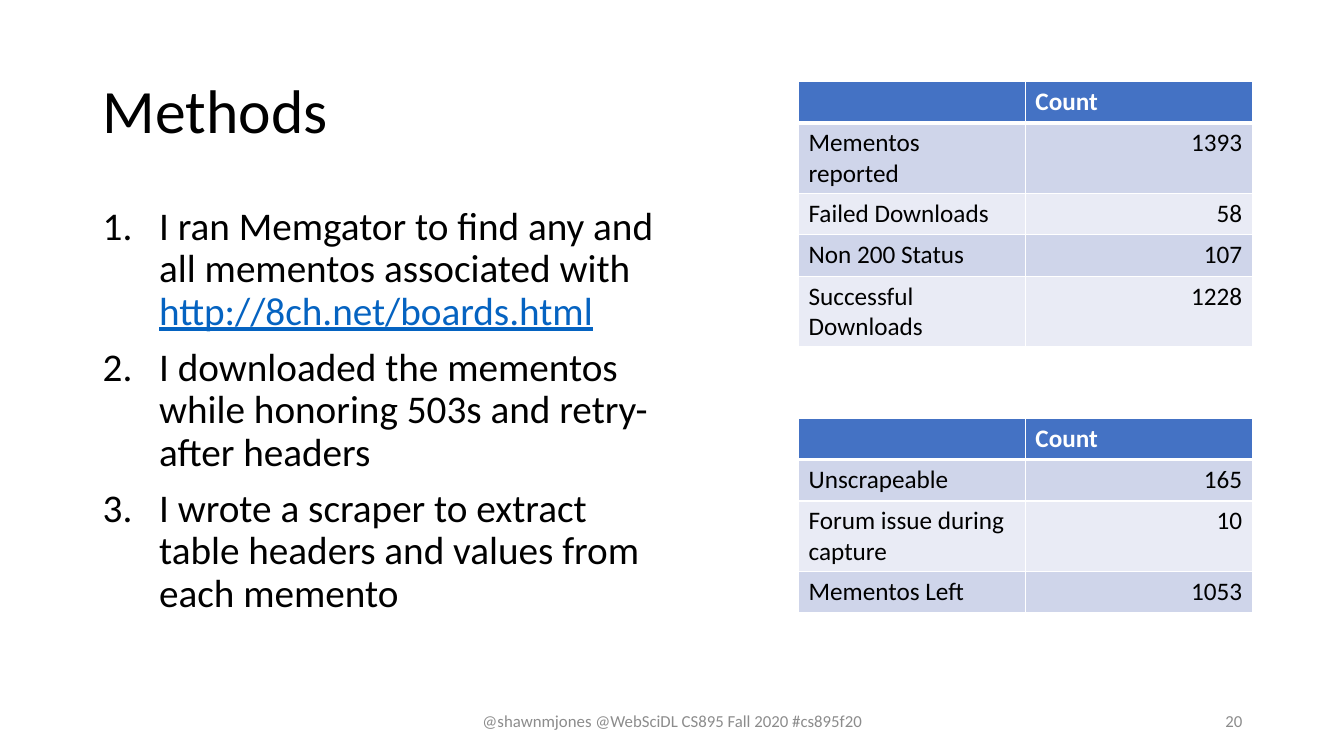
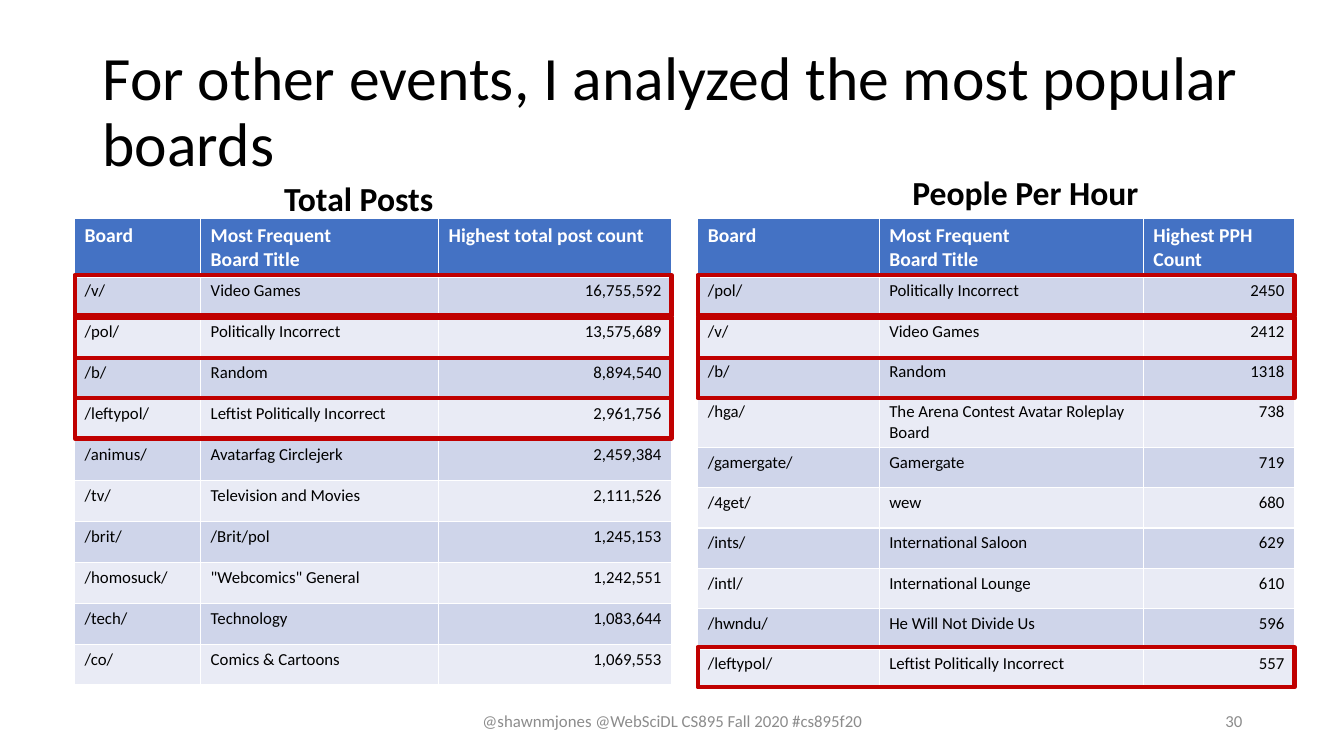
from pptx import Presentation
from pptx.dml.color import RGBColor
from pptx.enum.shapes import MSO_SHAPE
from pptx.enum.text import MSO_ANCHOR, PP_ALIGN
from pptx.oxml.ns import qn
from pptx.util import Inches, Pt
from lxml.etree import SubElement

FONT = "Calibri"
BLACK = RGBColor(0, 0, 0)
WHITE = RGBColor(255, 255, 255)
GRAY = RGBColor(0x8C, 0x8C, 0x8C)
BLUE = RGBColor(0x44, 0x72, 0xC4)
LINK = RGBColor(0x05, 0x63, 0xC1)
RED = RGBColor(0xC0, 0, 0)
BANDS = RGBColor(0xCF, 0xD5, 0xEA), RGBColor(0xE9, 0xEB, 0xF5)

FOOTER = "@shawnmjones @WebSciDL CS895 Fall 2020 #cs895f20"
STEPS = [
    ["I ran Memgator to find any and all mementos associated with ",
     "http://8ch.net/boards.html"],
    ["I downloaded the mementos while honoring 503s and retry-after headers"],
    ["I wrote a scraper to extract table headers and values from each memento"],
]
COUNTS = [
    dict(top=4.15, left=7.92, cols=[2.25, 2.25], size=18, head=18,
         heights=[0.41, 0.41, 0.7, 0.41],
         rows=[("", "Count"), ("Unscrapeable", "165"),
               ("Forum issue during capture", "10"),
               ("Mementos Left", "1053")]),
    dict(top=0.81, left=7.92, cols=[2.25, 2.25], size=18, head=18,
         heights=[0.41, 0.7, 0.41, 0.41, 0.7],
         rows=[("", "Count"), ("Mementos reported", "1393"),
               ("Failed Downloads", "58"), ("Non 200 Status", "107"),
               ("Successful Downloads", "1228")]),
]
BOARDS = [
    dict(top=2.17, left=0.74, cols=[1.25, 2.36, 2.31], size=12, head=14,
         heights=[0.56] + [4.06 / 10] * 10,
         label=("Total Posts", 2.72, 1.72, 1.7),
         marks=[2.73, 3.15, 3.55, 3.95],
         rows=[("Board", "Most Frequent\nBoard Title", "Highest total post count"),
               ("/v/", "Video Games", "16,755,592"),
               ("/pol/", "Politically Incorrect", "13,575,689"),
               ("/b/", "Random", "8,894,540"),
               ("/leftypol/", "Leftist Politically Incorrect", "2,961,756"),
               ("/animus/", "Avatarfag Circlejerk", "2,459,384"),
               ("/tv/", "Television and Movies", "2,111,526"),
               ("/brit/", "/Brit/pol", "1,245,153"),
               ("/homosuck/", '"Webcomics" General', "1,242,551"),
               ("/tech/", "Technology", "1,083,644"),
               ("/co/", "Comics & Cartoons", "1,069,553")]),
    dict(top=2.17, left=6.92, cols=[1.8, 2.62, 1.5], size=12, head=14,
         heights=[0.56] + [0.4] * 3 + [0.49] + [0.4] * 6,
         label=("People Per Hour", 8.95, 1.66, 2.46),
         marks=[2.73, 3.15, 3.55, 6.42],
         rows=[("Board", "Most Frequent\nBoard Title", "Highest PPH Count"),
               ("/pol/", "Politically Incorrect", "2450"),
               ("/v/", "Video Games", "2412"),
               ("/b/", "Random", "1318"),
               ("/hga/", "The Arena Contest Avatar Roleplay Board", "738"),
               ("/gamergate/", "Gamergate", "719"),
               ("/4get/", "wew", "680"),
               ("/ints/", "International Saloon", "629"),
               ("/intl/", "International Lounge", "610"),
               ("/hwndu/", "He Will Not Divide Us", "596"),
               ("/leftypol/", "Leftist Politically Incorrect", "557")]),
]


def write(frame, paras, size=12, color=BLACK, bold=False, align=PP_ALIGN.LEFT,
          space=None, gap=0, number=False):
    for i, runs in enumerate(paras):
        para = frame.paragraphs[0] if i == 0 else frame.add_paragraph()
        para.alignment = align
        if space:
            para.line_spacing = space
        if gap and i:
            para.space_before = Pt(gap)
        if number:
            props = para._p.get_or_add_pPr()
            props.set("marL", str(Inches(0.56)))
            props.set("indent", str(-Inches(0.56)))
            SubElement(props, qn("a:buFont"), typeface="+mj-lt")
            SubElement(props, qn("a:buAutoNum"), type="arabicPeriod")
        for text in runs:
            run = para.add_run()
            run.text = text
            font = run.font
            font.name, font.size, font.bold = FONT, Pt(size), bold
            link = text.startswith("http")
            font.color.rgb = LINK if link else color
            if link:
                font.underline = True


def box(slide, paras, left, top, width, height, wrap=True,
        anchor=MSO_ANCHOR.TOP, **style):
    shape = slide.shapes.add_textbox(*map(Inches, (left, top, width, height)))
    frame = shape.text_frame
    frame.word_wrap = wrap
    frame.vertical_anchor = anchor
    write(frame, paras, **style)


def page(deck, title, number):
    slide = deck.slides.add_slide(deck.slide_layouts[6])
    mid = MSO_ANCHOR.MIDDLE
    box(slide, [[title]], 0.92, 0.4, 11.5, 1.45, anchor=mid, size=44, space=0.9)
    box(slide, [[FOOTER]], 4.42, 6.95, 4.5, 0.4, anchor=mid, color=GRAY,
        align=PP_ALIGN.CENTER)
    box(slide, [[str(number)]], 9.42, 6.95, 3, 0.4, anchor=mid, color=GRAY,
        align=PP_ALIGN.RIGHT)
    return slide


def edge(cell, row):
    props = cell._tc.get_or_add_tcPr()
    thick = {"lnB": row == 0, "lnT": row == 1}
    for side in ("lnL", "lnR", "lnT", "lnB"):
        width = Pt(3 if thick.get(side) else 1)
        line = SubElement(props, qn("a:" + side), w=str(width))
        fill = SubElement(line, qn("a:solidFill"))
        SubElement(fill, qn("a:srgbClr"), val=str(WHITE))


def grid(slide, data):
    rows, cols, heights = data["rows"], data["cols"], data["heights"]
    area = data["left"], data["top"], sum(cols), sum(heights)
    table = slide.shapes.add_table(len(rows), len(cols), *map(Inches, area)).table
    table.first_row = table.horz_banding = False
    for col, width in zip(table.columns, cols):
        col.width = Inches(width)
    for r, row in enumerate(rows):
        table.rows[r].height = Inches(heights[r])
        for c, text in enumerate(row):
            cell = table.cell(r, c)
            edge(cell, r)
            cell.fill.solid()
            cell.fill.fore_color.rgb = BANDS[(r - 1) % 2] if r else BLUE
            right = r and c == len(cols) - 1
            write(cell.text_frame, [[part] for part in text.split("\n")],
                  size=data["size"] if r else data["head"],
                  color=BLACK if r else WHITE, bold=r == 0,
                  align=PP_ALIGN.RIGHT if right else PP_ALIGN.LEFT)


def mark(slide, left, top, width):
    area = map(Inches, (left, top, width, 0.4))
    rect = slide.shapes.add_shape(MSO_SHAPE.RECTANGLE, *area)
    rect.shadow.inherit = False
    rect.fill.background()
    rect.line.color.rgb = RED
    rect.line.width = Pt(3)


def main():
    deck = Presentation()
    deck.slide_width, deck.slide_height = Inches(13.33), Inches(7.5)

    slide = page(deck, "Methods", 20)
    box(slide, STEPS, 0.92, 2, 5.75, 4.76, size=28, space=0.9, gap=10, number=True)
    for data in reversed(COUNTS):
        grid(slide, data)

    slide = page(deck, "For other events, I analyzed the most popular boards", 30)
    for data in BOARDS:
        grid(slide, data)
        text, left, top, width = data["label"]
        box(slide, [[text]], left, top, width, 0.5, wrap=False, size=24, bold=True)
        for top in data["marks"]:
            mark(slide, data["left"], top, sum(data["cols"]))

    deck.save("out.pptx")


if __name__ == "__main__":
    main()
